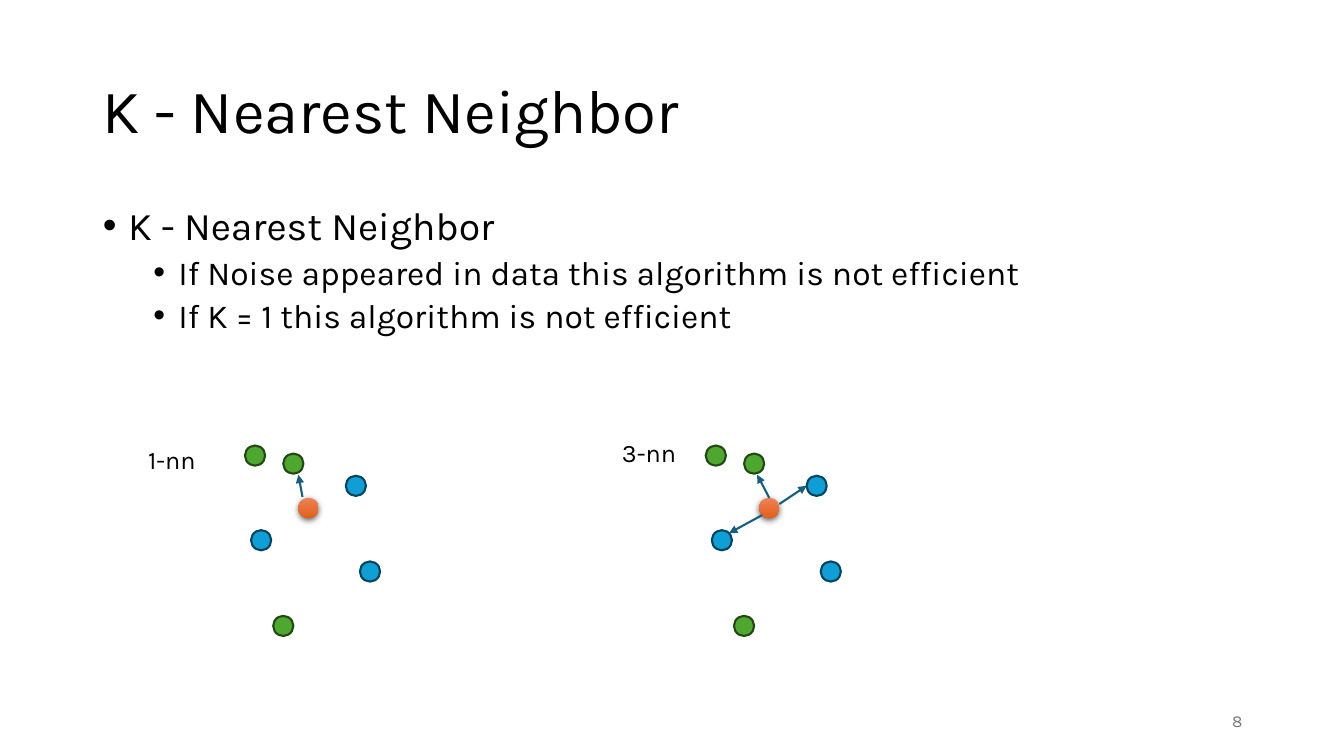
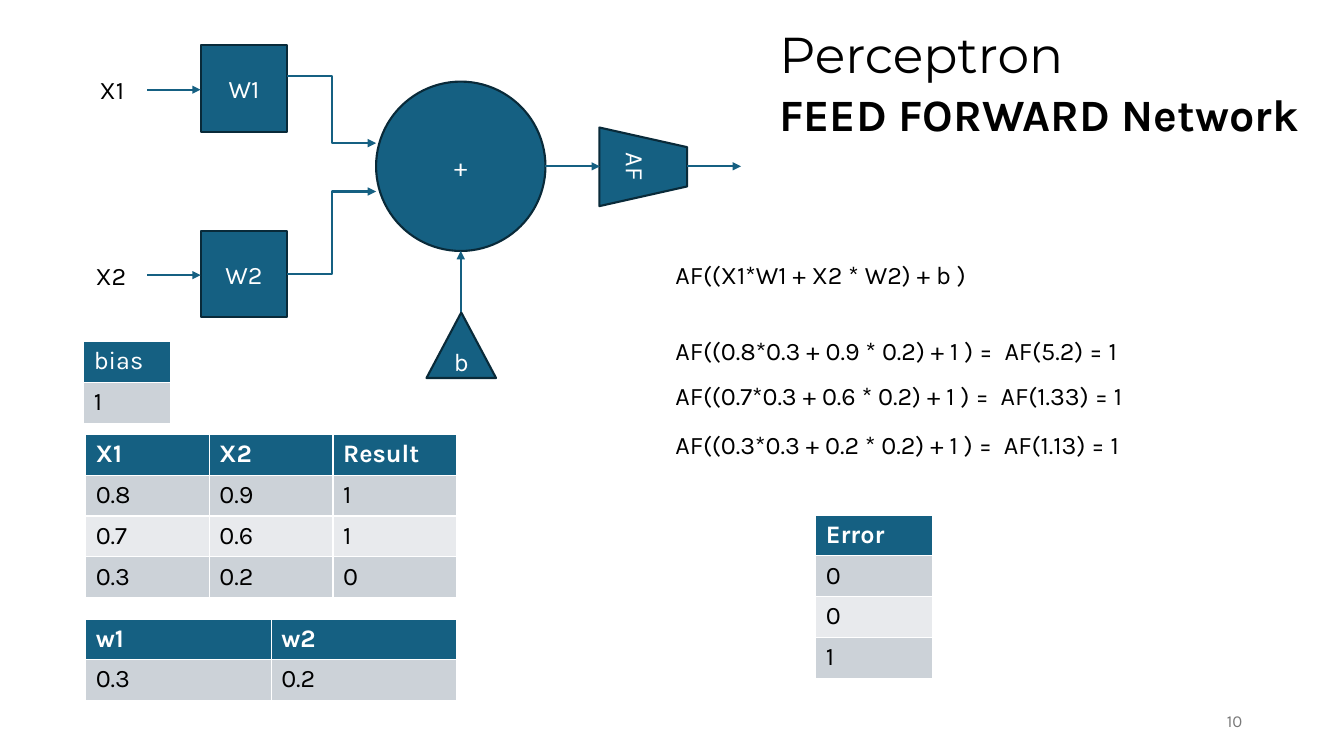
from lxml import etree
from pptx import Presentation
from pptx.dml.color import RGBColor
from pptx.enum import shapes, text
from pptx.oxml import parse_xml
from pptx.oxml.ns import nsdecls, qn
from pptx.util import Inches, Pt

BLACK = RGBColor(0, 0, 0)
WHITE = RGBColor(255, 255, 255)
GREY = RGBColor(0x79, 0x79, 0x79)
TEAL = RGBColor(0x15, 0x60, 0x82)
NAVY = RGBColor(0x09, 0x2A, 0x39)
GREEN = RGBColor(0x4E, 0xA7, 0x2E)
MOSS = RGBColor(0x22, 0x49, 0x14)
BLUE = RGBColor(0x0F, 0x9E, 0xD5)
DEEP = RGBColor(0x07, 0x45, 0x5D)
PEACH = RGBColor(0xED, 0x82, 0x57)
RUST = RGBColor(0xE2, 0x5F, 0x1A)
BANDS = (RGBColor(0xCC, 0xD2, 0xD8), RGBColor(0xE8, 0xEA, 0xED))

KIND = shapes.MSO_SHAPE
LINK = shapes.MSO_CONNECTOR
LEFT, MID, RIGHT = text.PP_ALIGN.LEFT, text.PP_ALIGN.CENTER, text.PP_ALIGN.RIGHT
TOP, CENTRE = text.MSO_ANCHOR.TOP, text.MSO_ANCHOR.MIDDLE
TITLE = dict(size=Pt(44))
BODY = dict(size=Pt(18))

SHADE = f"""<a:outerShdw {nsdecls('a')} blurRad="57150" dist="19050" dir="5400000"
 algn="ctr" rotWithShape="0"><a:srgbClr val="000000"><a:alpha val="63000"/>
</a:srgbClr></a:outerShdw>"""


def write(para, words, align=LEFT, **look):
    """Put words in a paragraph with one run, styled by look."""
    para.alignment = align
    run = para.add_run()
    run.text = words
    base = dict(name="Karla", size=Pt(18), bold=False)
    color = look.pop("color", BLACK)
    for key, val in {**base, **look}.items():
        setattr(run.font, key, val)
    run.font.color.rgb = color


def place(shape, box):
    for key, val in zip(("left", "top", "width", "height"), box):
        setattr(shape, key, Inches(val))


def label(slide, box, words, anchor=TOP, **look):
    frame = slide.shapes.add_textbox(*map(Inches, box)).text_frame
    frame.word_wrap = True
    frame.vertical_anchor = anchor
    write(frame.paragraphs[0], words, **look)


def head(slide, box, words, anchor=CENTRE, space=0.9, **look):
    title = slide.shapes.title
    place(title, box)
    frame = title.text_frame
    frame.auto_size = text.MSO_AUTO_SIZE.NONE
    frame.vertical_anchor = anchor
    frame.paragraphs[0].line_spacing = space
    write(frame.paragraphs[0], words, **look)


def number(slide, num):
    label(slide, (9.42, 6.95, 3, 0.4), num, CENTRE, align=RIGHT, size=Pt(12), color=GREY)


def points(slide, box, items):
    """Fill the body with bullets; items are (level, words)."""
    body = slide.placeholders[1]
    place(body, box)
    frame = body.text_frame
    frame.auto_size = text.MSO_AUTO_SIZE.NONE
    for i, (level, words) in enumerate(items):
        para = frame.add_paragraph() if i else frame.paragraphs[0]
        para.level = level
        props = para._p.get_or_add_pPr()
        props.set("marL", str(Inches(0.25 + 0.5 * level)))
        props.set("indent", str(Inches(-0.25)))
        etree.SubElement(props, qn("a:buFont")).set("typeface", "Arial")
        etree.SubElement(props, qn("a:buChar")).set("char", "•")
        para.line_spacing = 0.9
        para.space_before = Pt(5 if i else 0)
        write(para, words, size=Pt(28 - 4 * level))


def form(slide, kind, box, fill, edge, words="", turn=0):
    shape = slide.shapes.add_shape(kind, *map(Inches, box))
    shape.shadow.inherit = False
    shape.rotation = turn
    shape.fill.solid()
    shape.fill.fore_color.rgb = fill
    shape.line.color.rgb = edge
    shape.line.width = Pt(1.5)
    if words:
        shape.text_frame.vertical_anchor = CENTRE
        write(shape.text_frame.paragraphs[0], words, MID, color=WHITE)
    return shape


def arrow(slide, start, end, kind=LINK.STRAIGHT):
    line = slide.shapes.add_connector(kind, *map(Inches, start + end))
    line.line.color.rgb = TEAL
    line.line.width = Pt(1.5)
    etree.SubElement(line.line._get_or_add_ln(), qn("a:tailEnd")).set("type", "triangle")
    etree.SubElement(line._element.spPr, qn("a:effectLst"))


def query(slide, box):
    """Add the glowing orange dot that is to be classified."""
    dot = form(slide, KIND.OVAL, box, RUST, RUST)
    dot.line.fill.background()
    dot.fill.gradient()
    dot.fill.gradient_angle = 270
    for stop, color in zip(dot.fill.gradient_stops, (PEACH, RUST)):
        stop.color.rgb = color
    dot._element.spPr.find(qn("a:effectLst")).append(parse_xml(SHADE))


def cloud(slide, x, y, links):
    """Scatter the dots from corner x, y and draw the links."""
    side = 0.2
    sets = (
        (GREEN, MOSS, ((0, 0), (0.38, 0.08), (0.28, 1.69))),
        (BLUE, DEEP, ((1, 0.3), (0.06, 0.84), (1.14, 1.15))),
    )
    for fill, edge, spots in sets:
        for dx, dy in spots:
            form(slide, KIND.OVAL, (x + dx, y + dy, side, side), fill, edge)
    query(slide, (x + 0.53, y + 0.52, side, side))
    for x1, y1, x2, y2 in links:
        arrow(slide, (x + x1, y + y1), (x + x2, y + y2))


def grid(slide, box, rows, bold=True):
    """Add a table with a dark header and banded rows."""
    table = slide.shapes.add_table(len(rows), len(rows[0]), *map(Inches, box)).table
    for i, row in enumerate(rows):
        table.rows[i].height = Inches(box[3] / len(rows))
        for j, words in enumerate(row):
            cell = table.cell(i, j)
            cell.fill.solid()
            cell.fill.fore_color.rgb = BANDS[(i - 1) % 2] if i else TEAL
            write(cell.text_frame.paragraphs[0], words,
                  bold=bold and i == 0, color=BLACK if i else WHITE)


def network(slide, x, y):
    """Draw the perceptron from corner x, y."""
    def at(dx, dy):
        return x + dx, y + dy

    def node(kind, dx, dy, wide, high, words, turn=0):
        form(slide, kind, (*at(dx, dy), wide, high), TEAL, NAVY, words, turn)

    node(KIND.OVAL, 2.88, 0.36, 1.68, 1.68, "+")
    node(KIND.ISOSCELES_TRIANGLE, 3.38, 2.65, 0.69, 0.65, "b")
    node(KIND.TRAPEZOID, 5.14, 0.77, 0.78, 0.87, "AF", 90)
    inputs = (("1", 0.04, 0, 0.3, 0.97), ("2", 0, 1.84, 2.27, 1.45))
    for num, dx, dy, out, into in inputs:
        label(slide, (*at(dx, dy + 0.24), 0.56, 0.4), "X" + num)
        node(KIND.RECTANGLE, 1.14, dy, 0.86, 0.86, "W" + num)
        arrow(slide, at(0.61, dy + 0.44), at(1.14, dy + 0.44))
        arrow(slide, at(2, out), at(2.88, into), LINK.ELBOW)
    arrow(slide, at(3.72, 2.65), at(3.72, 2.04))
    for dx in (4.56, 5.96):
        arrow(slide, at(dx, 1.2), at(dx + 0.54, 1.2))


def sums(slide, x, y):
    """List the worked sums below the formula."""
    lines = (
        (0, "AF((X1*W1 + X2 * W2) + b )"),
        (0.76, "AF((0.8*0.3 + 0.9 * 0.2) + 1 ) =  AF(5.2) = 1"),
        (1.2, "AF((0.7*0.3 + 0.6 * 0.2) + 1 ) =  AF(1.33) = 1"),
        (1.69, "AF((0.3*0.3 + 0.2 * 0.2) + 1 ) =  AF(1.13) = 1"),
    )
    for dy, words in lines:
        label(slide, (x, y + dy, 5.05, 0.4), words)


def nearest(deck):
    slide = deck.slides.add_slide(deck.slide_layouts[1])
    head(slide, (0.92, 0.4, 11.5, 1.45), "K - Nearest Neighbor", size=Pt(44))
    points(slide, (0.92, 2, 11.5, 4.76), (
        (0, "K - Nearest Neighbor"),
        (1, "If Noise appeared in data this algorithm is not efficient"),
        (1, "If K = 1 this algorithm is not efficient"),
    ))
    cloud(slide, 2.43, 4.42, ((0.57, 0.51, 0.53, 0.29),))
    cloud(slide, 7, 4.42, (
        (0.63, 0.52, 0.51, 0.29),
        (0.56, 0.69, 0.23, 0.87),
        (0.73, 0.58, 1, 0.4),
    ))
    label(slide, (1.37, 4.36, 1.65, 0.4), "1-nn")
    label(slide, (6.07, 4.29, 1.65, 0.4), "3-nn")
    number(slide, "8")


def neuron(deck):
    slide = deck.slides.add_slide(deck.slide_layouts[5])
    head(slide, (7.63, 0.18, 3.23, 0.71), "Perceptron", TOP, 1,
         name="Montserrat", size=Pt(36))
    label(slide, (7.63, 0.81, 5.45, 0.64), "FEED FORWARD Network",
          size=Pt(32), bold=True)
    network(slide, 0.85, 0.45)
    sums(slide, 6.6, 2.52)
    grid(slide, (0.83, 3.39, 0.86, 0.81), (("bias",), ("1",)), bold=False)
    grid(slide, (0.85, 4.31, 3.68, 1.62), (
        ("X1", "X2", "Result"),
        ("0.8", "0.9", "1"),
        ("0.7", "0.6", "1"),
        ("0.3", "0.2", "0"),
    ))
    grid(slide, (0.85, 6.14, 3.68, 0.81), (("w1", "w2"), ("0.3", "0.2")))
    grid(slide, (8.09, 5.11, 1.16, 1.62), (("Error",), ("0",), ("0",), ("1",)))
    number(slide, "10")


def main():
    deck = Presentation()
    deck.slide_width, deck.slide_height = Inches(13.33), Inches(7.5)
    nearest(deck)
    neuron(deck)
    deck.save("out.pptx")


if __name__ == "__main__":
    main()
